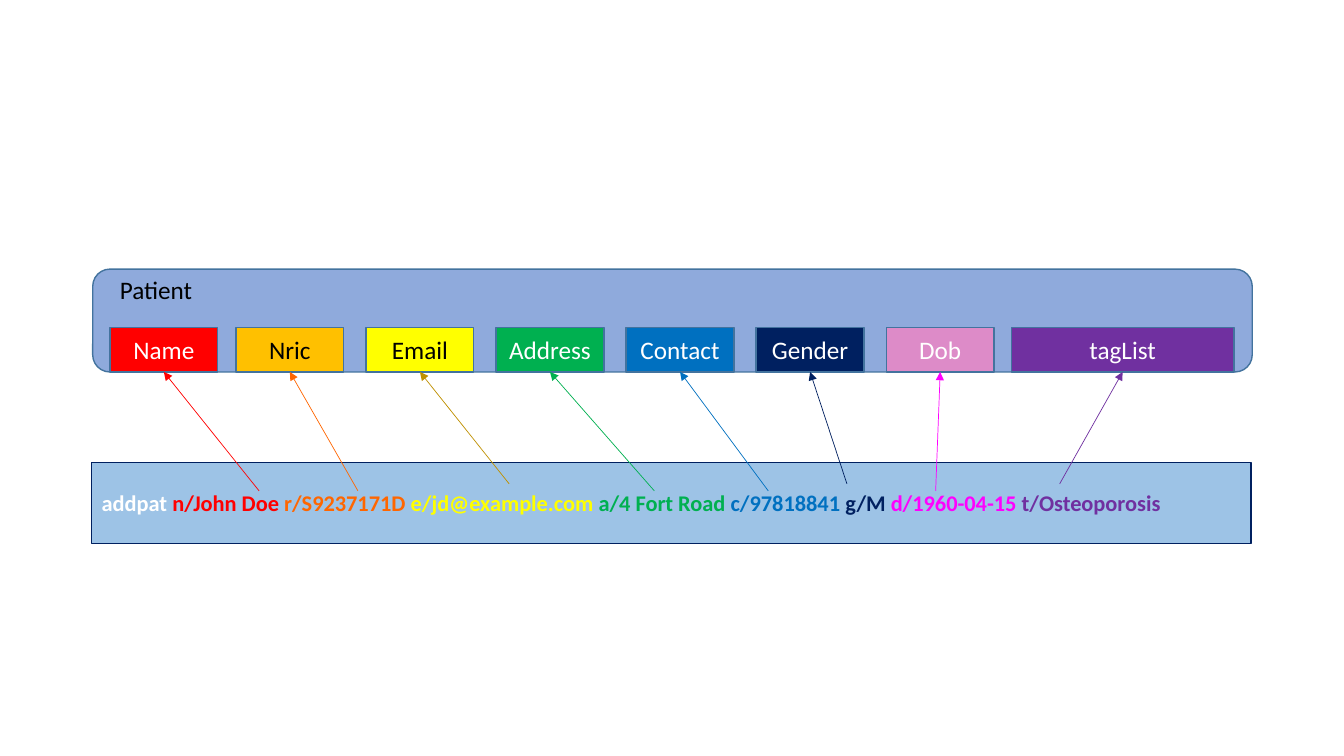
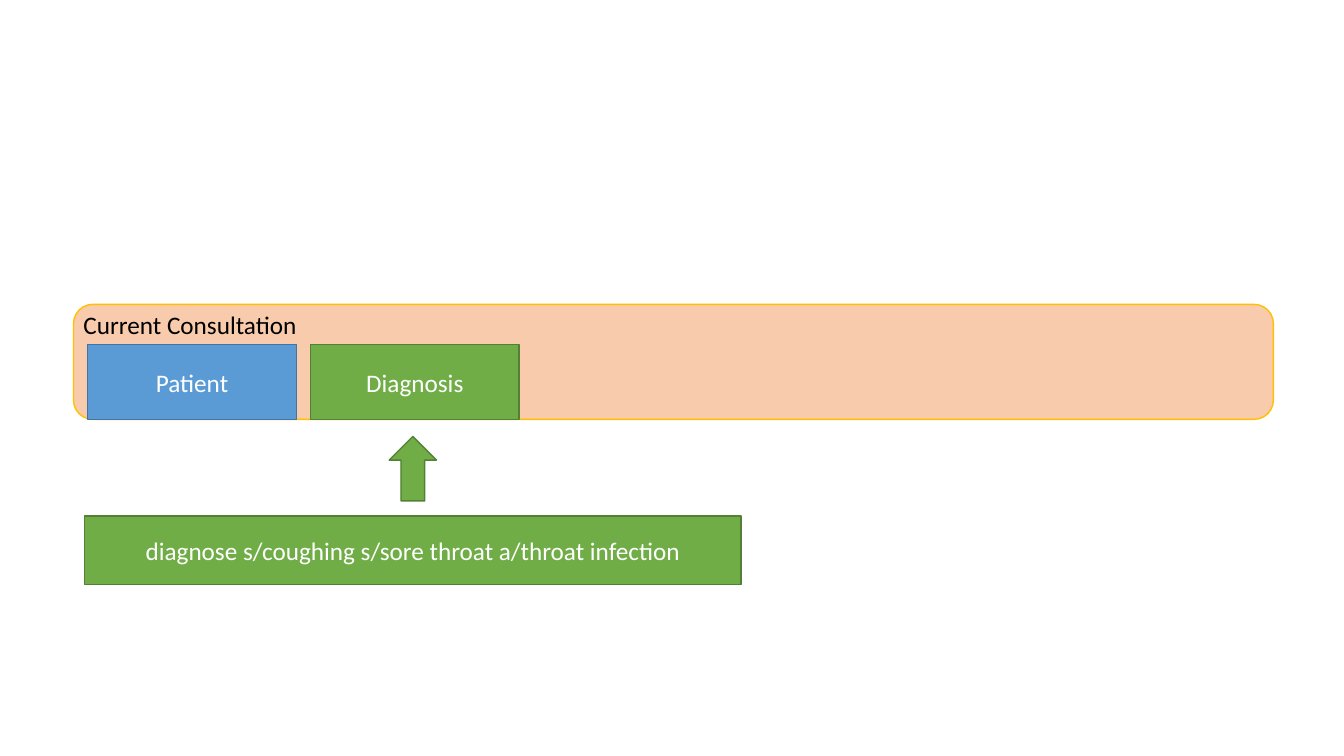
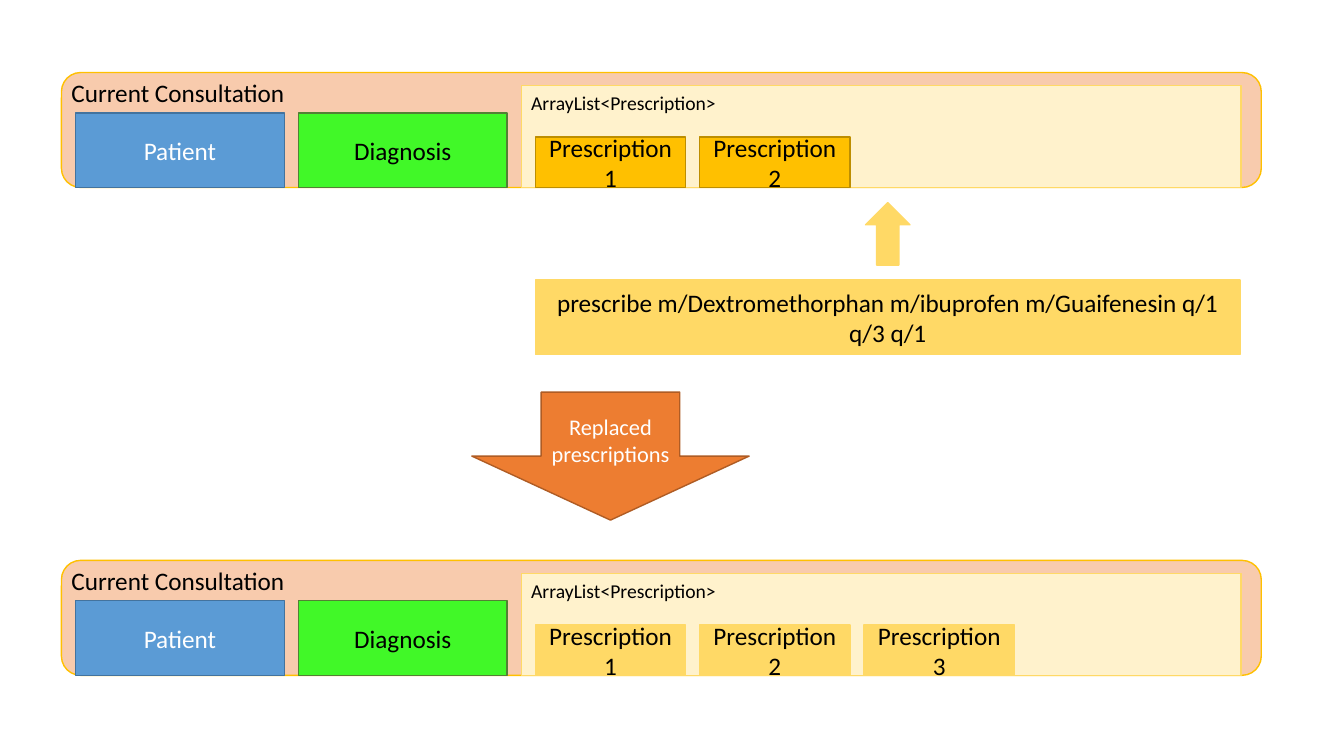
from lxml.etree import SubElement
from pptx import Presentation
from pptx.dml.color import RGBColor
from pptx.enum.shapes import MSO_CONNECTOR, MSO_SHAPE
from pptx.enum.text import MSO_ANCHOR, MSO_AUTO_SIZE, PP_ALIGN
from pptx.oxml.ns import qn
from pptx.util import Inches, Pt


class Theme:
    font = "Calibri"
    body, command, small = 18, 16, 14
    white, black = "FFFFFF", "000000"
    blue, blue_edge = "5B9BD5", "43739E"
    green, green_edge, bright_green = "70AD47", "538035", "41F828"
    peach, gold, gold_edge = "F8CBAD", "FFC000", "BD8E00"
    sand, cream = "FFD966", "FFF2CC"
    orange, orange_edge = "ED7D31", "AF5C24"
    patient, command_bar = "8FAADC", "9DC3E6"
    red, amber, yellow, mustard = "FF0000", "FF6600", "FFFF00", "BF9000"
    leaf, azure, navy = "00B050", "0070C0", "002060"
    pink, magenta, purple = "DD8BC8", "FF00FF", "7030A0"


GAP = 0.14
CARD_WIDTH, CARD_HEIGHT = 2.07, 0.74
FRAME_WIDTH, FRAME_HEIGHT = 11.9, 1.14


def add_block(page, kind, at, label="", ink=Theme.white, fill=None, edge=None, size=Theme.body):
    """Add a filled shape with a centred label, or a plain caption if kind is None."""
    place = [Inches(length) for length in at]
    if kind is None:
        box = page.shapes.add_textbox(*place)
        box.text_frame.word_wrap = False
        box.text_frame.auto_size = MSO_AUTO_SIZE.SHAPE_TO_FIT_TEXT
    else:
        box = page.shapes.add_shape(kind, *place)
        box.shadow.inherit = False
        box.fill.solid()
        box.fill.fore_color.rgb = RGBColor.from_string(fill)
        box.line.color.rgb = RGBColor.from_string(edge)
        box.line.width = Pt(1)
        box.text_frame.word_wrap = True
        box.text_frame.vertical_anchor = MSO_ANCHOR.MIDDLE
    if label:
        box.text_frame.text = label
        para = box.text_frame.paragraphs[0]
        para.alignment = PP_ALIGN.LEFT if kind is None else PP_ALIGN.CENTER
        font = para.runs[0].font
        font.name, font.size = Theme.font, Pt(size)
        font.color.rgb = RGBColor.from_string(ink)
    return box


def add_consultation(page, left, top, diagnosis_fill, diagnosis_ink):
    """Add the consultation frame and its cards; return the left of the next free column."""
    add_block(page, MSO_SHAPE.ROUNDED_RECTANGLE, (left, top, FRAME_WIDTH, FRAME_HEIGHT),
              fill=Theme.peach, edge=Theme.gold)
    add_block(page, None, (left, top, 2.34, 0.4), "Current Consultation", Theme.black)
    column = left + GAP
    for label, ink, fill, edge in (
        ("Patient", Theme.white, Theme.blue, Theme.blue_edge),
        ("Diagnosis", diagnosis_ink, diagnosis_fill, Theme.green_edge),
    ):
        add_block(page, MSO_SHAPE.RECTANGLE,
                  (column, top + FRAME_HEIGHT - CARD_HEIGHT, CARD_WIDTH, CARD_HEIGHT),
                  label, ink, fill, edge)
        column += CARD_WIDTH + GAP
    return column


deck = Presentation()
deck.slide_width, deck.slide_height = Inches(13.33), Inches(7.5)
patient_page, diagnose_page, prescribe_page = [
    deck.slides.add_slide(deck.slide_layouts[6]) for _ in range(3)
]

# Adding a patient: each part of the command feeds one field
add_block(patient_page, MSO_SHAPE.ROUNDED_RECTANGLE, (0.92, 2.67, 11.5, 1.02),
          fill=Theme.patient, edge=Theme.blue_edge)
add_block(patient_page, None, (1.09, 2.67, 0.93, 0.4), "Patient", Theme.black)
command_bar = add_block(patient_page, MSO_SHAPE.RECTANGLE, (0.91, 4.59, 11.5, 0.8),
                        fill=Theme.command_bar, edge=Theme.navy)
command_para = command_bar.text_frame.paragraphs[0]
command_para.alignment = PP_ALIGN.JUSTIFY

FIELD_LEFT, FIELD_PITCH, FIELD_WIDTH = 2.34, 1.29, 1.07
field_lefts = [1.09] + [FIELD_LEFT + FIELD_PITCH * step for step in range(6)] + [10.03]
# label, label colour, fill, command part, part colour, arrow colour, arrow start
fields = [
    ("Name", Theme.white, Theme.red, "n/John Doe ", Theme.red, Theme.red, (2.57, 4.87)),
    ("Nric", Theme.black, Theme.gold, "r/S9237171D ", Theme.amber, Theme.amber, (3.55, 4.87)),
    ("Email", Theme.black, Theme.yellow, "e/jd@example.com ", Theme.yellow, Theme.mustard,
     (5.05, 4.8)),
    ("Address", Theme.white, Theme.leaf, "a/4 Fort Road ", Theme.leaf, Theme.leaf, (6.49, 4.87)),
    ("Contact", Theme.white, Theme.azure, "c/97818841 ", Theme.azure, Theme.azure, (7.62, 4.87)),
    ("Gender", Theme.white, Theme.navy, "g/M ", Theme.navy, Theme.navy, (8.4, 4.8)),
    ("Dob", Theme.white, Theme.pink, "d/1960-04-15 ", Theme.magenta, Theme.magenta, (9.28, 4.87)),
    ("tagList", Theme.white, Theme.purple, "t/Osteoporosis", Theme.purple, Theme.purple,
     (10.51, 4.8)),
]
command_parts = [("addpat ", Theme.white)]
for left, (label, ink, fill, part, part_ink, arrow_ink, start) in zip(field_lefts, fields):
    width = 2.21 if label == "tagList" else FIELD_WIDTH
    field = add_block(patient_page, MSO_SHAPE.RECTANGLE, (left, 3.25, width, 0.44),
                      label, ink, fill, Theme.blue_edge)
    command_parts.append((part, part_ink))
    start_x, start_y = [Inches(length) for length in start]
    arrow = patient_page.shapes.add_connector(
        MSO_CONNECTOR.STRAIGHT, start_x, start_y, start_x, start_y)
    arrow.end_connect(field, 2)
    arrow.line.color.rgb = RGBColor.from_string(arrow_ink)
    arrow.line.width = Pt(0.5)
    SubElement(arrow.line._get_or_add_ln(), qn("a:tailEnd"), type="triangle")
    SubElement(arrow._element.spPr, qn("a:effectLst"))

for part, ink in command_parts:
    span = command_para.add_run()
    span.text = part
    span.font.name, span.font.size, span.font.bold = Theme.font, Pt(Theme.command), True
    span.font.color.rgb = RGBColor.from_string(ink)

# Adding a diagnosis
add_consultation(diagnose_page, 0.73, 3.02, Theme.green, Theme.white)

# Replacing the prescriptions, before and after
for top, count, fill, edge in (
    (0.72, 2, Theme.gold, Theme.gold_edge),
    (5.56, 3, Theme.sand, Theme.sand),
):
    list_left = add_consultation(prescribe_page, 0.61, top, Theme.bright_green, Theme.black)
    list_top = top + 0.13
    add_block(prescribe_page, MSO_SHAPE.RECTANGLE, (list_left, list_top, 7.14, 1.01),
              fill=Theme.cream, edge=Theme.sand)
    add_block(prescribe_page, None, (list_left, list_top, 2.06, 0.34),
              "ArrayList<Prescription>", Theme.black, size=Theme.small)
    for index in range(count):
        add_block(prescribe_page, MSO_SHAPE.RECTANGLE,
                  (list_left + GAP + index * (1.49 + GAP), top + 0.64, 1.49, 0.5),
                  f"Prescription {index + 1}", Theme.black, fill, edge)
add_block(prescribe_page, MSO_SHAPE.DOWN_ARROW, (4.68, 3.89, 2.75, 1.27),
          "Replaced prescriptions", Theme.white, Theme.orange, Theme.orange_edge, Theme.command)

# Each command sits under its consultation with an arrow centred above it
for page, at, label, ink, fill, edge, arrow_width, arrow_height in (
    (diagnose_page, (0.84, 5.12, 6.51, 0.68),
     "diagnose s/coughing s/sore throat a/throat infection",
     Theme.white, Theme.green, Theme.green_edge, 0.47, 0.64),
    (prescribe_page, (5.31, 2.78, 6.99, 0.74),
     "prescribe m/Dextromethorphan m/ibuprofen m/Guaifenesin q/1 q/3 q/1",
     Theme.black, Theme.sand, Theme.sand, 0.44, 0.62),
):
    left, top, width, height = at
    add_block(page, MSO_SHAPE.RECTANGLE, at, label, ink, fill, edge)
    add_block(page, MSO_SHAPE.UP_ARROW,
              (left + (width - arrow_width) / 2, top - 0.15 - arrow_height,
               arrow_width, arrow_height),
              fill=fill, edge=edge)

deck.save("out.pptx")
